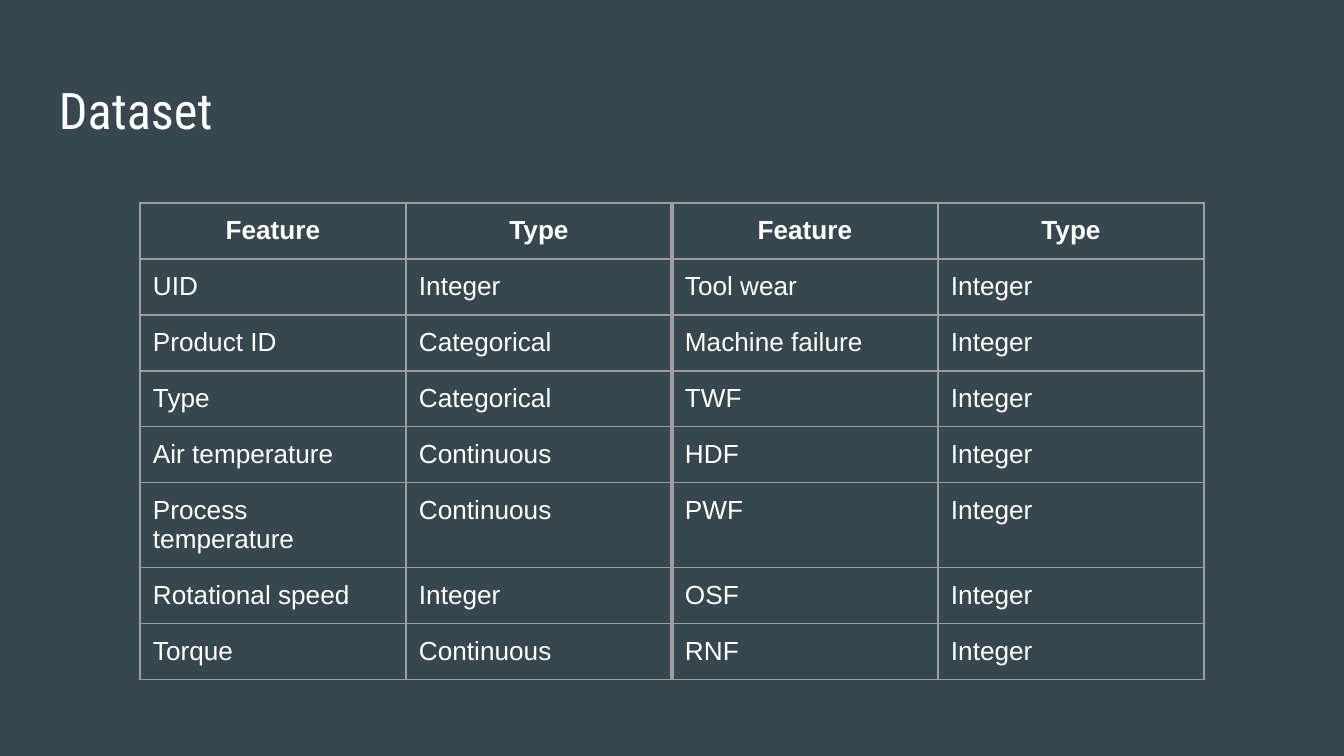
from lxml import etree
from pptx import Presentation
from pptx.dml.color import RGBColor
from pptx.enum.text import MSO_ANCHOR, PP_ALIGN
from pptx.oxml.ns import qn
from pptx.util import Pt

PX = 914400 / 134.4
BACKGROUND = RGBColor(0x37, 0x47, 0x4F)
WHITE = RGBColor(0xFF, 0xFF, 0xFF)
GRID = RGBColor(0x9E, 0x9E, 0x9E)
TOP = MSO_ANCHOR.TOP
LEFT, CENTER = PP_ALIGN.LEFT, PP_ALIGN.CENTER

COLUMN_WIDTH, ROW_HEIGHT, INSET = 266, 56, 13
ROWS = [
    ("Feature", "Type", "Feature", "Type"),
    ("UID", "Integer", "Tool wear", "Integer"),
    ("Product ID", "Categorical", "Machine failure", "Integer"),
    ("Type", "Categorical", "TWF", "Integer"),
    ("Air temperature", "Continuous", "HDF", "Integer"),
    ("Process temperature", "Continuous", "PWF", "Integer"),
    ("Rotational speed", "Integer", "OSF", "Integer"),
    ("Torque", "Continuous", "RNF", "Integer"),
]


def px(length):
    return round(length * PX)


def add_border(cell, side, width):
    line = etree.SubElement(cell._tc.get_or_add_tcPr(), qn(f"a:ln{side}"), w=str(Pt(width)))
    fill = etree.SubElement(line, qn("a:solidFill"))
    etree.SubElement(fill, qn("a:srgbClr"), val=str(GRID))


prs = Presentation()
prs.slide_width, prs.slide_height = px(1344), px(756)
slide = prs.slides.add_slide(prs.slide_layouts[5])
slide.background.fill.solid()
slide.background.fill.fore_color.rgb = BACKGROUND

heading = slide.shapes.title
heading.left, heading.top, heading.width, heading.height = px(46), px(66), px(1252), px(85)
heading.text_frame.text = "Dataset"
heading.text_frame.vertical_anchor = TOP
heading_line = heading.text_frame.paragraphs[0]
heading_line.alignment = LEFT
heading_line.font.name = "Roboto Condensed"
heading_line.font.size = Pt(27)
heading_line.font.color.rgb = WHITE

features = slide.shapes.add_table(
    len(ROWS), len(ROWS[0]), px(140), px(203),
    px(COLUMN_WIDTH * len(ROWS[0])), px(ROW_HEIGHT * len(ROWS)),
).table
features.first_row = False
features.horz_banding = False

for side in ("left", "right", "top", "bottom"):
    setattr(heading.text_frame, f"margin_{side}", px(INSET))

for row, texts in enumerate(ROWS):
    for column, text in enumerate(texts):
        cell = features.cell(row, column)
        cell.text = text
        for side in ("left", "right", "top", "bottom"):
            setattr(cell, f"margin_{side}", px(INSET))
        for side in "LRTB":
            middle = (column, side) in ((1, "R"), (2, "L"))
            add_border(cell, side, 2.25 if middle else 0.75)
        cell.fill.background()
        entry = cell.text_frame.paragraphs[0]
        entry.alignment = CENTER if row == 0 else LEFT
        for name, value in {"name": "Arial", "size": Pt(14), "bold": row == 0}.items():
            setattr(entry.font, name, value)
        entry.font.color.rgb = WHITE

prs.save("out.pptx")
